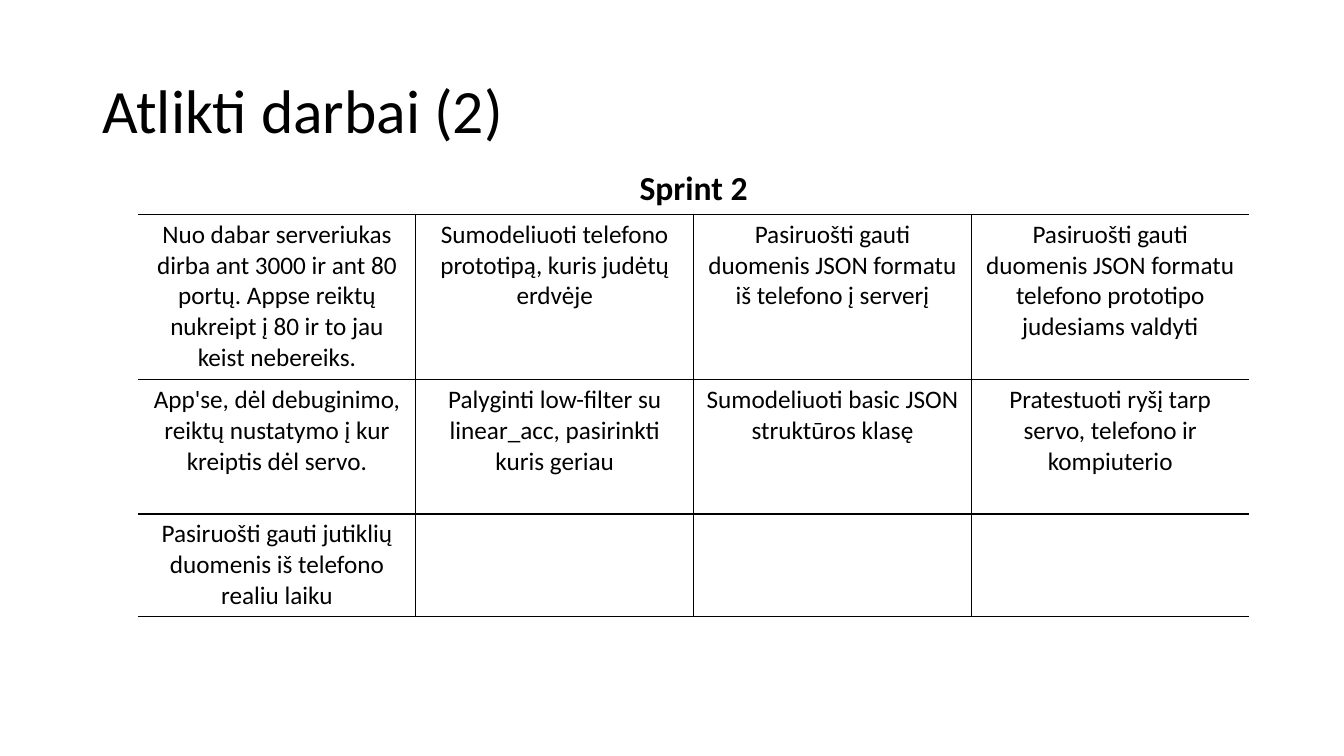
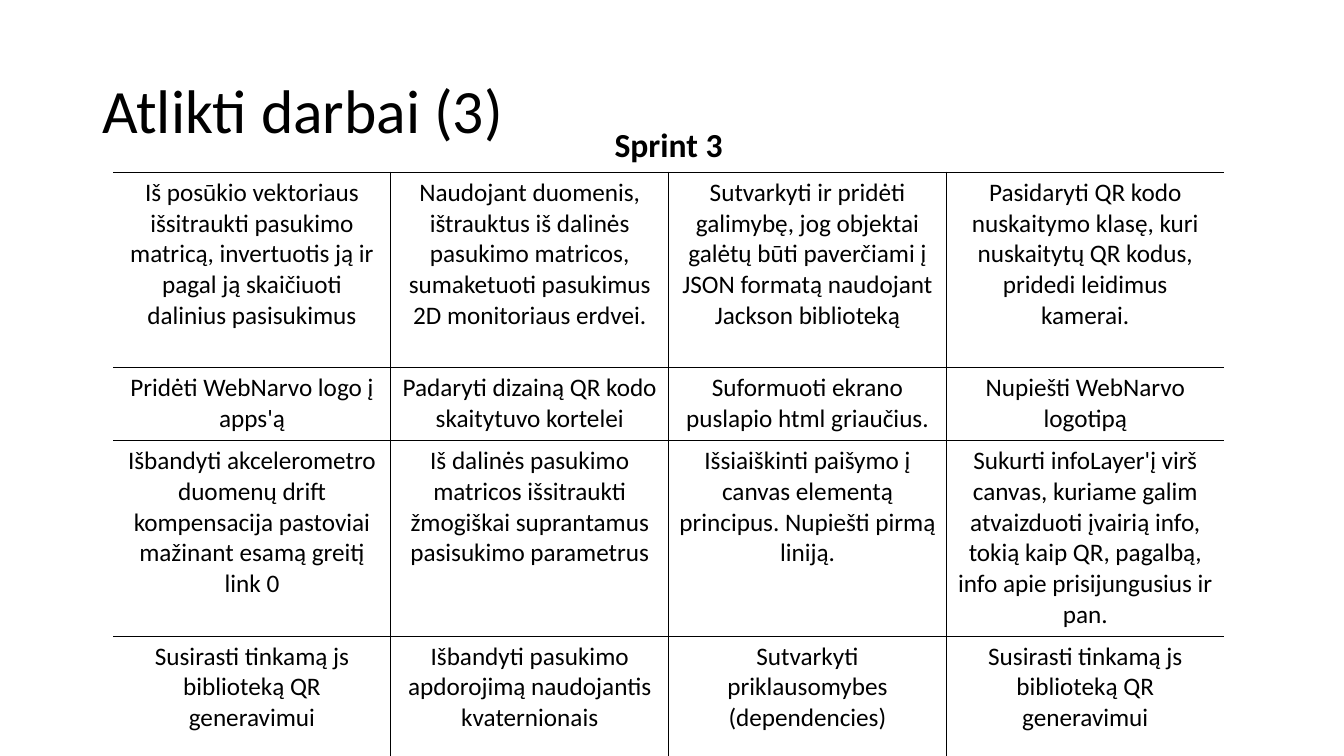
from pptx import Presentation
from pptx.dml.color import RGBColor
from pptx.enum.text import MSO_ANCHOR, PP_ALIGN
from pptx.oxml.ns import qn
from pptx.util import Cm, Pt
from lxml.etree import SubElement

BLACK = RGBColor(0x00, 0x00, 0x00)
FONT = "Calibri"
TITLE_SIZE, HEADING_SIZE, TASK_SIZE = Pt(44), Pt(24), Pt(18)
TITLE_BOX = (Cm(2.33), Cm(1.01), Cm(29.21), Cm(3.68))
COLUMN_COUNT, COLUMN_WIDTH = 4, Cm(7)
BORDER_WIDTH = Pt(1)

SPRINTS = [
    {
        "title": "Atlikti darbai (2)",
        "heading": "Sprint 2",
        "origin": (Cm(3.48), Cm(4.11)),
        "heights": [1.29, 4.17, 3.38, 2.59],
        "closed": True,
        "tasks": [
            [
                "Nuo dabar serveriukas dirba ant 3000 ir ant 80 portų. "
                "Appse reiktų nukreipt į 80 ir to jau keist nebereiks.",
                "Sumodeliuoti telefono prototipą, kuris judėtų erdvėje",
                "Pasiruošti gauti duomenis JSON formatu iš telefono į serverį",
                "Pasiruošti gauti duomenis JSON formatu telefono prototipo judesiams valdyti",
            ],
            [
                "App'se, dėl debuginimo, reiktų nustatymo į kur kreiptis dėl servo.",
                "Palyginti low-filter su linear_acc, pasirinkti kuris geriau",
                "Sumodeliuoti basic JSON struktūros klasę",
                "Pratestuoti ryšį tarp servo, telefono ir kompiuterio",
            ],
            ["Pasiruošti gauti jutiklių duomenis iš telefono realiu laiku", "", "", ""],
        ],
    },
    {
        "title": "Atlikti darbai (3)",
        "heading": "Sprint 3",
        "origin": (Cm(2.85), Cm(3.05)),
        "heights": [1.29, 4.93, 1.83, 4.93, 3.02],
        "closed": False,
        "tasks": [
            [
                "Iš posūkio vektoriaus išsitraukti pasukimo matricą, "
                "invertuotis ją ir pagal ją skaičiuoti dalinius pasisukimus",
                "Naudojant duomenis, ištrauktus iš dalinės pasukimo matricos, "
                "sumaketuoti pasukimus 2D monitoriaus erdvei.",
                "Sutvarkyti ir pridėti galimybę, jog objektai galėtų būti "
                "paverčiami į JSON formatą naudojant Jackson biblioteką",
                "Pasidaryti QR kodo nuskaitymo klasę, kuri nuskaitytų QR kodus, "
                "pridedi leidimus kamerai.",
            ],
            [
                "Pridėti WebNarvo logo į apps'ą",
                "Padaryti dizainą QR kodo skaitytuvo kortelei",
                "Suformuoti ekrano puslapio html griaučius.",
                "Nupiešti WebNarvo logotipą",
            ],
            [
                "Išbandyti akcelerometro duomenų drift kompensacija "
                "pastoviai mažinant esamą greitį link 0",
                "Iš dalinės pasukimo matricos išsitraukti žmogiškai "
                "suprantamus pasisukimo parametrus",
                "Išsiaiškinti paišymo į canvas elementą principus. Nupiešti pirmą liniją.",
                "Sukurti infoLayer'į virš canvas, kuriame galim atvaizduoti įvairią info, "
                "tokią kaip QR, pagalbą, info apie prisijungusius ir pan.",
            ],
            [
                "Susirasti tinkamą js biblioteką QR generavimui",
                "Išbandyti pasukimo apdorojimą naudojantis kvaternionais",
                "Sutvarkyti priklausomybes (dependencies)",
                "Susirasti tinkamą js biblioteką QR generavimui",
            ],
        ],
    },
]


def set_font(para, size, bold=False):
    """Apply the shared typeface and colour to a paragraph."""
    para.font.name = FONT
    para.font.size = size
    para.font.bold = bold
    para.font.color.rgb = BLACK


def set_borders(cell, visible):
    """Draw the sides named in visible and clear the others."""
    properties = cell._tc.get_or_add_tcPr()
    for side in "LRTB":
        line = SubElement(properties, qn(f"a:ln{side}"), w=str(BORDER_WIDTH))
        if side in visible:
            fill = SubElement(line, qn("a:solidFill"))
            SubElement(fill, qn("a:srgbClr"), val=str(BLACK))
        else:
            SubElement(line, qn("a:noFill"))


def visible_sides(row, column, last_row, closed):
    """Return the sides drawn for a cell of a grid with open outer edges."""
    sides = ""
    if row > 0:
        sides += "T"
        sides += "L" if column > 0 else ""
        sides += "R" if column < COLUMN_COUNT - 1 else ""
    if row < last_row or closed:
        sides += "B"
    return sides


def add_title(page, text, box):
    """Place the slide title in the given box."""
    frame = page.shapes.add_textbox(*box).text_frame
    frame.word_wrap = True
    frame.vertical_anchor = MSO_ANCHOR.MIDDLE
    para = frame.paragraphs[0]
    para.text = text
    para.line_spacing = 0.9
    set_font(para, TITLE_SIZE)


def add_task_table(page, sprint):
    """Place a sprint heading and its grid of tasks at the sprint's origin."""
    heights = [Cm(height) for height in sprint["heights"]]
    table = page.shapes.add_table(
        len(heights), COLUMN_COUNT, *sprint["origin"],
        COLUMN_WIDTH * COLUMN_COUNT, sum(heights),
    ).table
    table.first_row = False
    table.horz_banding = False
    for column in table.columns:
        column.width = COLUMN_WIDTH
    for row, height in zip(table.rows, heights):
        row.height = height
    heading_row = [sprint["heading"]] + [""] * (COLUMN_COUNT - 1)
    for row, texts in enumerate([heading_row] + sprint["tasks"]):
        for column, text in enumerate(texts):
            cell = table.cell(row, column)
            set_borders(cell, visible_sides(row, column, len(heights) - 1, sprint["closed"]))
            cell.fill.background()
            para = cell.text_frame.paragraphs[0]
            para.text = text
            para.alignment = PP_ALIGN.CENTER
            set_font(para, TASK_SIZE if row else HEADING_SIZE, bold=row == 0)
    table.cell(0, 0).merge(table.cell(0, COLUMN_COUNT - 1))


def add_sprint_page(deck, sprint):
    """Add one slide that reports the work done in a sprint."""
    page = deck.slides.add_slide(deck.slide_layouts[6])
    add_title(page, sprint["title"], TITLE_BOX)
    add_task_table(page, sprint)


def main():
    """Build and save the deck."""
    deck = Presentation()
    deck.slide_width, deck.slide_height = Cm(33.87), Cm(19.05)
    for sprint in SPRINTS:
        add_sprint_page(deck, sprint)
    deck.save("out.pptx")


if __name__ == "__main__":
    main()
